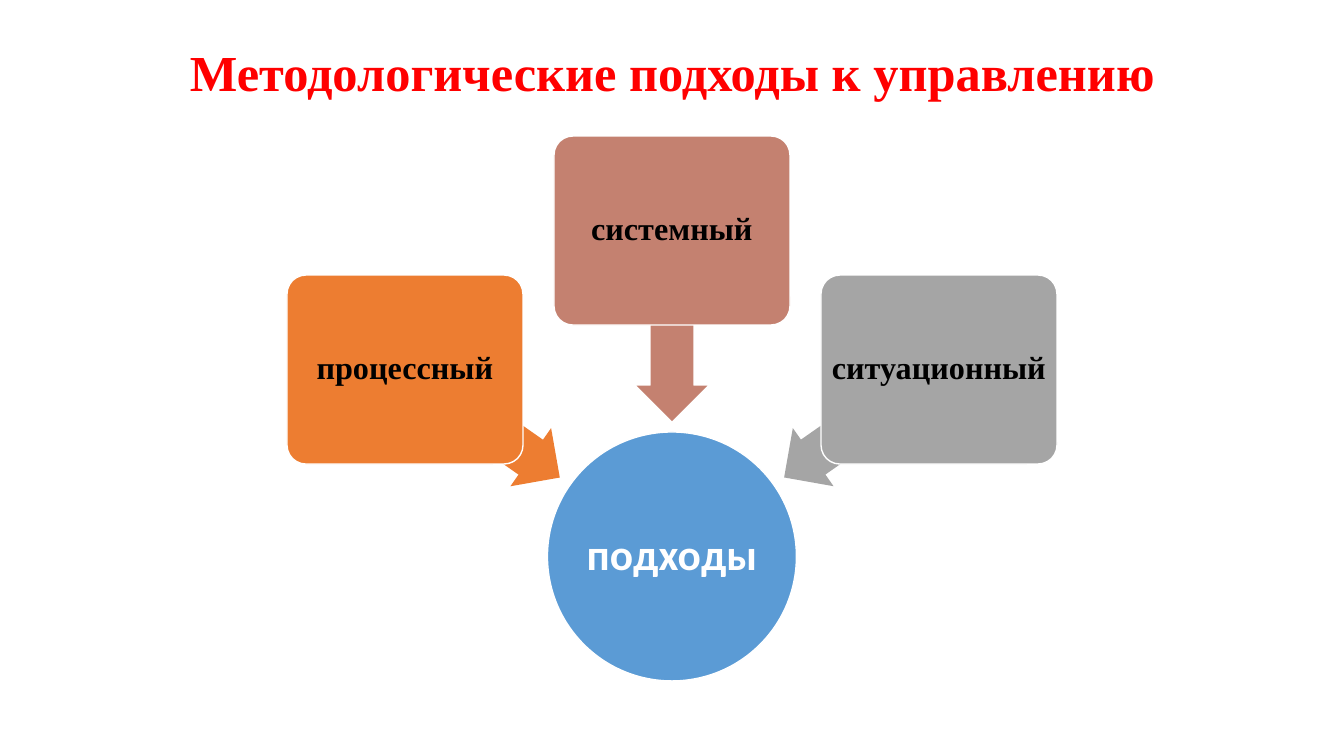
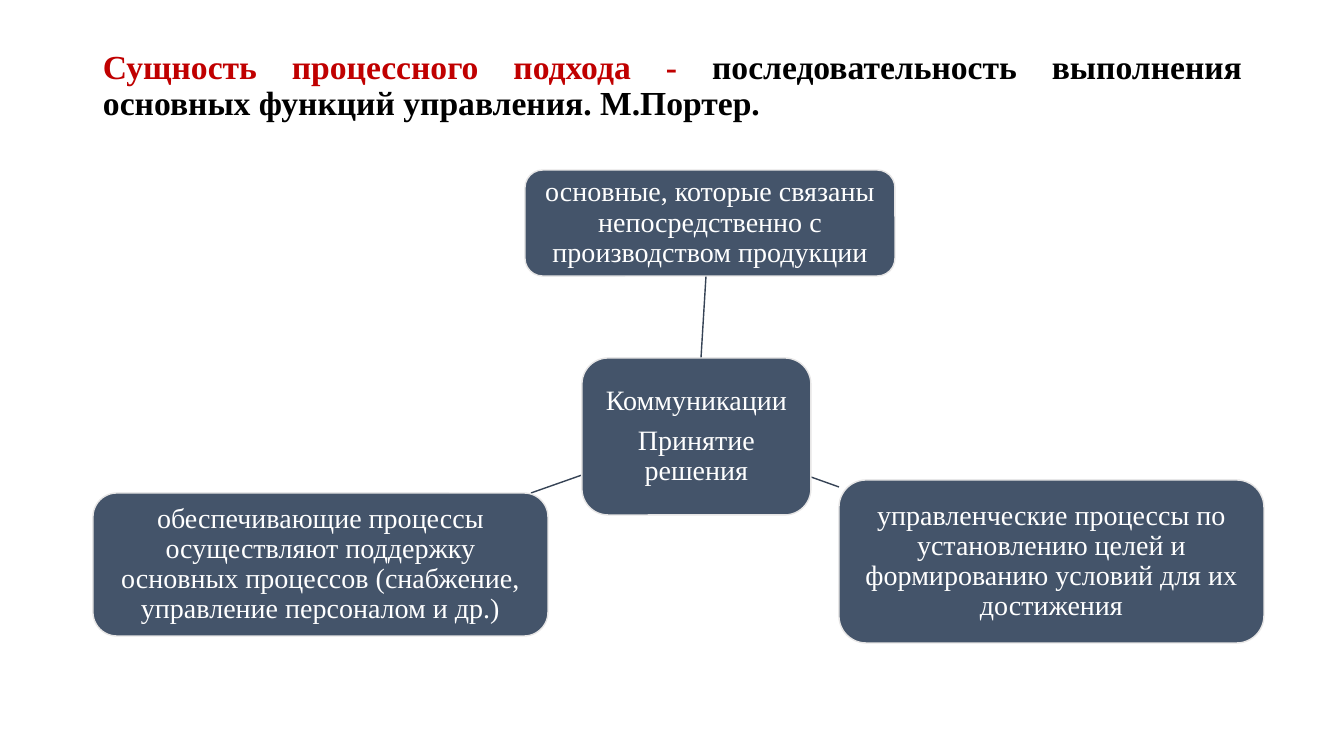
import pptx
import pptx.util
import pptx.dml.color
import pptx.enum.shapes
import pptx.enum.text
import lxml.etree

PX = 914400 / 100.8
RGBColor = pptx.dml.color.RGBColor
SHAPE = pptx.enum.shapes.MSO_SHAPE
ALIGN = pptx.enum.text.PP_ALIGN

WHITE = RGBColor(0xFF, 0xFF, 0xFF)
BLACK = RGBColor(0x00, 0x00, 0x00)
RED = RGBColor(0xFF, 0x00, 0x00)
DARK_RED = RGBColor(0xC0, 0x00, 0x00)
BLUE = RGBColor(0x5B, 0x9B, 0xD5)
ORANGE = RGBColor(0xED, 0x7D, 0x31)
ROSE = RGBColor(0xC4, 0x81, 0x70)
GRAY = RGBColor(0xA5, 0xA5, 0xA5)
SLATE = RGBColor(0x44, 0x54, 0x6A)
SLATE_DARK = RGBColor(0x36, 0x43, 0x55)
PALE = RGBColor(0xE7, 0xE6, 0xE6)

SERIF = "Times New Roman"
TITLE_LEFT, TITLE_TOP, TITLE_WIDTH = 93, 40, 1159


def px(*lengths):
    return [round(length * PX) for length in lengths]


def write(holder, paragraphs, size=20, font=SERIF, bold=False,
          align=ALIGN.CENTER, inset=(6, 6)):
    """Fill a shape with paragraphs, each a list of (text, colour) runs."""
    frame = holder.text_frame
    frame.word_wrap = True
    frame.vertical_anchor = pptx.enum.text.MSO_ANCHOR.MIDDLE
    frame.margin_left, frame.margin_top = px(*inset)
    frame.margin_right, frame.margin_bottom = px(*inset)
    for index, runs in enumerate(paragraphs):
        paragraph = frame.add_paragraph() if index else frame.paragraphs[0]
        paragraph.alignment = align
        paragraph.line_spacing = 0.9
        if index:
            paragraph.space_before = pptx.util.Pt(7)
        for text, colour in runs:
            run = paragraph.add_run()
            run.text = text
            run.font.name = font
            run.font.size = pptx.util.Pt(size)
            run.font.bold = bold
            run.font.color.rgb = colour


prs = pptx.Presentation()
prs.slide_width, prs.slide_height = px(1344, 756)

# Titles shared by both slides
titles = [
    ([("Методологические подходы к управлению", RED)], 36, 71, ALIGN.CENTER),
    ([("Сущность процессного подхода - ", DARK_RED),
      ("последовательность выполнения основных функций управления. М.Портер.", BLACK)],
     24, 93, ALIGN.JUSTIFY),
]
slides = []
for runs, size, height, align in titles:
    slide = prs.slides.add_slide(prs.slide_layouts[6])
    title = slide.shapes.add_textbox(*px(TITLE_LEFT, TITLE_TOP, TITLE_WIDTH, height))
    write(title, [runs], size=size, bold=True, align=align, inset=(10, 5))
    slides.append(slide)
approaches_slide, process_slide = slides

# Slide 1: three approaches pointing at a hub
CENTRE = 672
HUB = 249
hub = approaches_slide.shapes.add_shape(
    SHAPE.OVAL, *px(CENTRE - HUB / 2, 432, HUB, HUB))
hub.shadow.inherit = False
hub.fill.solid()
hub.fill.fore_color.rgb = BLUE
hub.line.color.rgb = WHITE
hub.line.width = pptx.util.Pt(1)
write(hub, [[("подходы", WHITE)]], size=31, font="Calibri", bold=True, inset=(2, 2))

BOX_W, BOX_H, BOX_PITCH = 236, 189, 267
ARROW_W, ARROW_H, ARROW_PITCH = 190, 71, 190
approaches = [
    ("процессный", ORANGE, -1, 275, 423, 215),
    ("системный", ROSE, 0, 136, 326, 270),
    ("ситуационный", GRAY, 1, 275, 423, 325),
]
for name, colour, side, box_top, arrow_middle, angle in approaches:
    arrow = approaches_slide.shapes.add_shape(
        SHAPE.LEFT_ARROW,
        *px(CENTRE + side * ARROW_PITCH - ARROW_W / 2, arrow_middle - ARROW_H / 2,
            ARROW_W, ARROW_H))
    arrow.adjustments[0] = 0.6
    arrow.adjustments[1] = 0.5
    arrow.rotation = angle
    arrow.line.fill.background()

    box = approaches_slide.shapes.add_shape(
        SHAPE.ROUNDED_RECTANGLE,
        *px(CENTRE + side * BOX_PITCH - BOX_W / 2, box_top, BOX_W, BOX_H))
    box.adjustments[0] = 0.1
    box.line.color.rgb = WHITE
    box.line.width = pptx.util.Pt(1)
    for part in (arrow, box):
        part.shadow.inherit = False
        part.fill.solid()
        part.fill.fore_color.rgb = colour
    write(box, [[(name, BLACK)]], size=23, bold=True, inset=(5, 5))

# Slide 2: spokes between the core and its processes
for ends in [(701, 358, 706, 276), (811, 477, 839, 487), (582, 475, 531, 493)]:
    spoke = process_slide.shapes.add_connector(
        pptx.enum.shapes.MSO_CONNECTOR.STRAIGHT, *px(*ends))
    spoke.line.color.rgb = SLATE_DARK
    spoke.line.width = pptx.util.Pt(1)
    lxml.etree.SubElement(spoke._element.spPr, pptx.oxml.ns.qn("a:effectLst"))

# Slide 2: core and process boxes
processes = [
    ((582, 358, 229, 157), ["Коммуникации", "Принятие решения"]),
    ((525, 170, 370, 106),
     ["основные, которые связаны непосредственно с производством продукции"]),
    ((839, 480, 425, 163),
     ["управленческие процессы по установлению целей и формированию условий "
      "для их достижения"]),
    ((93, 493, 455, 143),
     ["обеспечивающие процессы осуществляют поддержку основных процессов "
      "(снабжение, управление персоналом и др.)"]),
]
for place, lines in processes:
    process = process_slide.shapes.add_shape(SHAPE.ROUNDED_RECTANGLE, *px(*place))
    process.shadow.inherit = False
    process.fill.solid()
    process.fill.fore_color.rgb = SLATE
    process.line.color.rgb = PALE
    process.line.width = pptx.util.Pt(1)
    write(process, [[(line, WHITE)] for line in lines])

prs.save("out.pptx")
